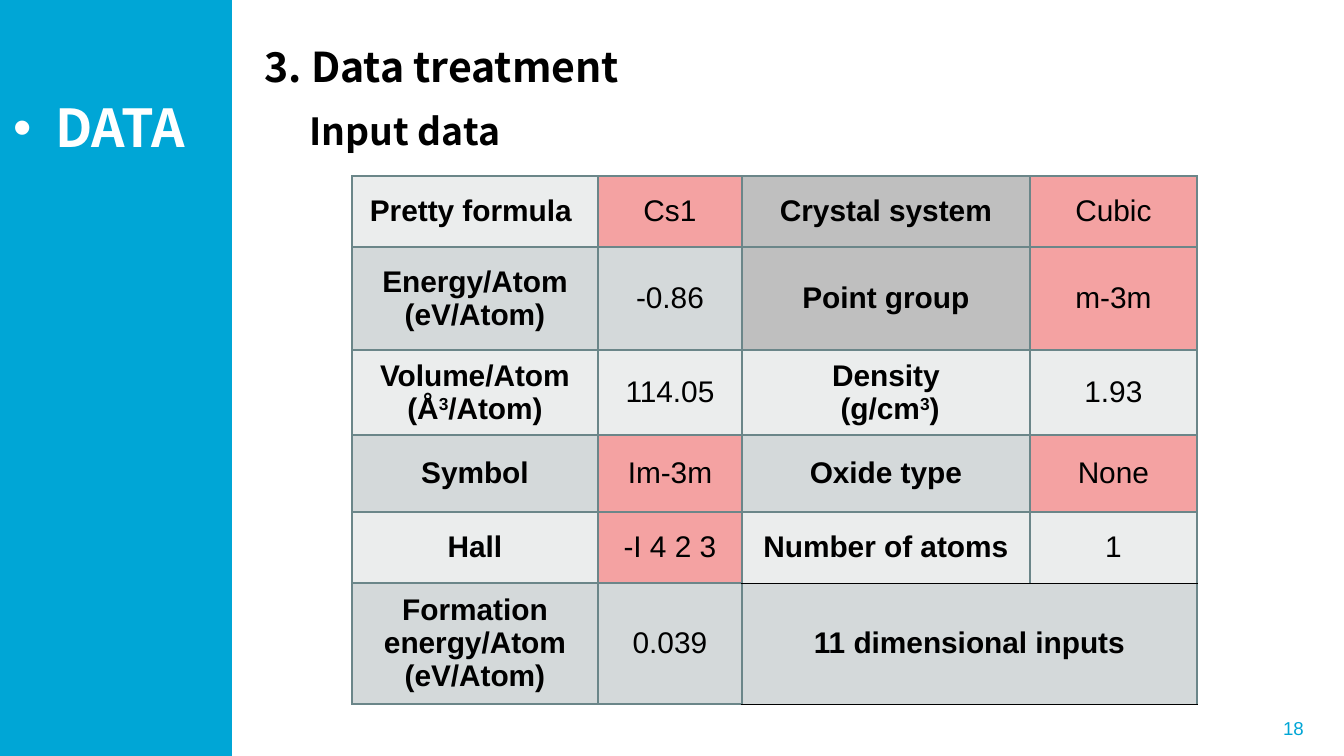
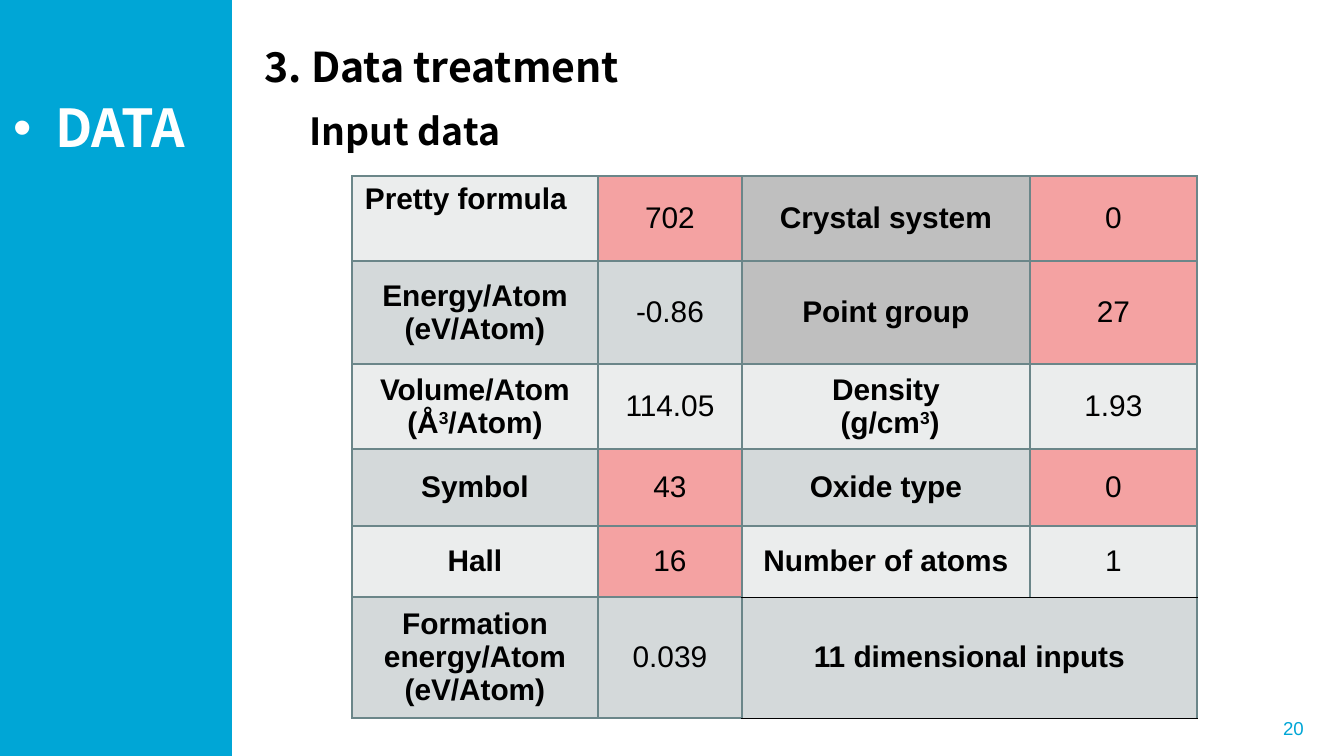
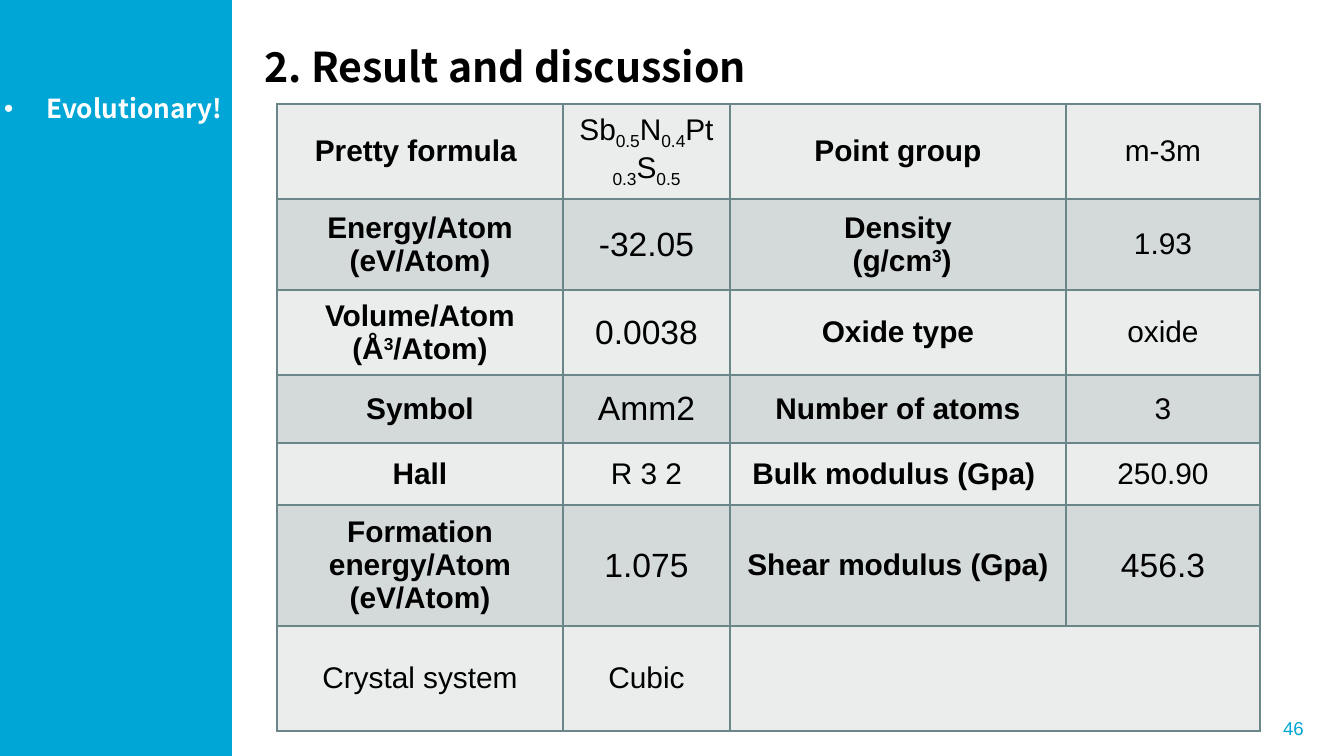
from lxml.etree import SubElement
from pptx import Presentation
from pptx.dml.color import RGBColor
from pptx.enum.shapes import MSO_SHAPE as Shape
from pptx.enum.text import MSO_ANCHOR as Anchor, MSO_AUTO_SIZE as AutoSize, PP_ALIGN as Align
from pptx.oxml.ns import qn
from pptx.util import Pt

PX = 914400 / 134.4
BLUE, WHITE, BLACK, GRID = "00A6D6", "FFFFFF", "000000", "6B8689"
BANDS = ("EBEDED", "D4D9DA")
HEAD_FONT, BODY_FONT = "Noto Sans CJK SC", "Arial"

# Cell styles, picked by name in the content
STYLES = {
    "coded": {"fill": "F4A2A2"},
    "grey": {"fill": "BFBFBF"},
    "large": {"size": 18},
    "plain": {"bold": False},
    "above total": {"black": "B"},
    "total": {"black": "TB"},
    "raised": {"anchor": Anchor.TOP, "margins": (4, 22)},
}

# Content: ^3^ is raised, _3_ is lowered, None joins the cell to its left
ENERGY = "Energy/Atom\n(eV/Atom)"
VOLUME = "Volume/Atom\n(Å^3^/Atom)"
DENSITY = "Density\n (g/cm^3^)"
FORMATION = "Formation energy/Atom\n(eV/Atom)"


def input_rows(label, formula, crystal, group, symbol, oxide, hall):
    return [
        (label, (formula, "coded"), ("Crystal system", "grey"), (crystal, "coded")),
        (ENERGY, "-0.86", ("Point group", "grey"), (group, "coded")),
        (VOLUME, "114.05", DENSITY, "1.93"),
        ("Symbol", (symbol, "coded"), "Oxide type", (oxide, "coded")),
        ("Hall", (hall, "coded"), ("Number of atoms", "above total"), ("1", "above total")),
        (FORMATION, "0.039", ("11 dimensional inputs", "total"), None),
    ]


RESULT_ROWS = [
    ("Pretty formula ", "Sb_0.5_N_0.4_Pt_0.3_S_0.5_", "Point group", "m-3m"),
    (ENERGY, ("-32.05", "large"), DENSITY, "1.93"),
    (VOLUME, ("0.0038", "large"), "Oxide type", "oxide"),
    ("Symbol", ("Amm2", "large"), "Number of atoms", "3"),
    ("Hall", "R 3 2", "Bulk modulus (Gpa) ", "250.90"),
    (FORMATION, ("1.075", "large"), "Shear modulus (Gpa)", ("456.3", "large")),
    (("Crystal system", "plain"), "Cubic", "", None),
]

DATA_SECTION = {"text": "DATA", "box": (0, 89, 232, 77), "size": 28}
RESULT_SECTION = {"text": "Evolutionary!", "box": (-9, 86, 357, 46), "size": 14}
INPUT_COLUMNS = (246, 144, 288, 167)
INPUT_HEIGHTS = (103, 85, 77, 71, 120)

SLIDES = [
    {"number": "18", "section": DATA_SECTION, "title": "3. Data treatment",
     "subtitle": "Input data", "corner": (352, 176), "columns": INPUT_COLUMNS,
     "heights": (71, *INPUT_HEIGHTS),
     "rows": input_rows("Pretty formula ", "Cs1", "Cubic", "m-3m", "Im-3m", "None", "-I 4 2 3")},
    {"number": "20", "section": DATA_SECTION, "title": "3. Data treatment",
     "subtitle": "Input data", "corner": (352, 176), "columns": INPUT_COLUMNS,
     "heights": (85, *INPUT_HEIGHTS),
     "rows": input_rows(("Pretty formula", "raised"), "702", "0", "27", "43", "0", "16")},
    {"number": "46", "section": RESULT_SECTION, "title": "2. Result and discussion",
     "subtitle": None, "corner": (277, 104), "columns": (286, 167, 336, 194),
     "heights": (94, 91, 85, 68, 62, 121, 105), "rows": RESULT_ROWS},
]


def px(length):
    return round(length * PX)


def rgb(color):
    return RGBColor.from_string(color)


def add_run(paragraph, text, color, **font):
    run = paragraph.add_run()
    run.text = text
    run.font.color.rgb = rgb(color)
    for name, value in font.items():
        setattr(run.font, name, value)
    return run


def add_text(slide, text, box, size, color=BLACK, font=HEAD_FONT, bold=True):
    frame = slide.shapes.add_textbox(*map(px, box)).text_frame
    frame.word_wrap = True
    frame.auto_size = AutoSize.SHAPE_TO_FIT_TEXT
    add_run(frame.paragraphs[0], text, color, size=Pt(size), name=font, bold=bold)
    return frame


def add_bullet(paragraph, indent):
    properties = paragraph._p.get_or_add_pPr()
    properties.set("marL", str(px(indent)))
    properties.set("indent", str(-px(indent)))
    SubElement(properties, qn("a:buFont"), typeface=BODY_FONT)
    SubElement(properties, qn("a:buChar"), char="•")


def add_borders(cell, black):
    properties = cell._tc.get_or_add_tcPr()
    for side in "LRTB":
        color, width = (BLACK, 0.25) if side in black else (GRID, 1)
        line = SubElement(properties, qn("a:ln" + side), w=str(Pt(width)))
        SubElement(SubElement(line, qn("a:solidFill")), qn("a:srgbClr"), val=color)


def fill_cell(cell, text, look):
    add_borders(cell, look["black"])
    cell.fill.solid()
    cell.fill.fore_color.rgb = rgb(look["fill"])
    cell.vertical_anchor = look["anchor"]
    cell.margin_left, cell.margin_right = map(px, look["margins"])
    for index, line in enumerate(text.split("\n")):
        frame = cell.text_frame
        paragraph = frame.add_paragraph() if index else frame.paragraphs[0]
        paragraph.alignment = Align.CENTER
        mark, shift = ("_", -25000) if "_" in line else ("^", 30000)
        for part, piece in enumerate(line.split(mark)):
            if piece:
                run = add_run(paragraph, piece, BLACK, size=Pt(look["size"]),
                              name=BODY_FONT, bold=look["bold"])
                if part % 2:
                    run._r.get_or_add_rPr().set("baseline", str(shift))


def add_properties(slide, corner, columns, heights, rows):
    box = (*corner, sum(columns), sum(heights))
    table = slide.shapes.add_table(len(rows), len(columns), *map(px, box)).table
    table.first_row = table.horz_banding = False
    for column, width in zip(table.columns, columns):
        column.width = px(width)
    for row, height in zip(table.rows, heights):
        row.height = px(height)
    for r, row in enumerate(rows):
        for c, content in enumerate(row):
            cell = table.cell(r, c)
            joined = content is None
            if joined:
                content = row[c - 1]
            text, style = (content, None) if isinstance(content, str) else content
            look = {"fill": BANDS[r % 2], "size": 16, "bold": c % 2 == 0, "black": "",
                    "anchor": Anchor.MIDDLE, "margins": (13, 13), **STYLES.get(style, {})}
            fill_cell(cell, "" if joined else text, look)
            if joined:
                table.cell(r, c - 1).merge(cell)


def add_frame(slide, number, section, title, subtitle):
    # Page number and side band
    page = add_text(slide, number, (977, 708, 340, 40), 10, BLUE, BODY_FONT, False)
    page.auto_size = AutoSize.NONE
    page.vertical_anchor = Anchor.MIDDLE
    page.paragraphs[0].alignment = Align.RIGHT
    band = slide.shapes.add_shape(Shape.RECTANGLE, *map(px, (0, 0, 232, 756)))
    band.shadow.inherit = False
    band.fill.solid()
    band.fill.fore_color.rgb = rgb(BLUE)
    band.line.fill.background()
    # Headings
    add_bullet(add_text(slide, color=WHITE, **section).paragraphs[0], 42)
    add_text(slide, title, (251, 35, 954, 63), 22)
    if subtitle:
        add_text(slide, subtitle, (296, 102, 954, 59), 20)


def main():
    deck = Presentation()
    deck.slide_width, deck.slide_height = px(1344), px(756)
    for page in SLIDES:
        slide = deck.slides.add_slide(deck.slide_layouts[6])
        add_frame(slide, *(page[key] for key in ("number", "section", "title", "subtitle")))
        add_properties(slide, *(page[key] for key in ("corner", "columns", "heights", "rows")))
    deck.save("out.pptx")


if __name__ == "__main__":
    main()
